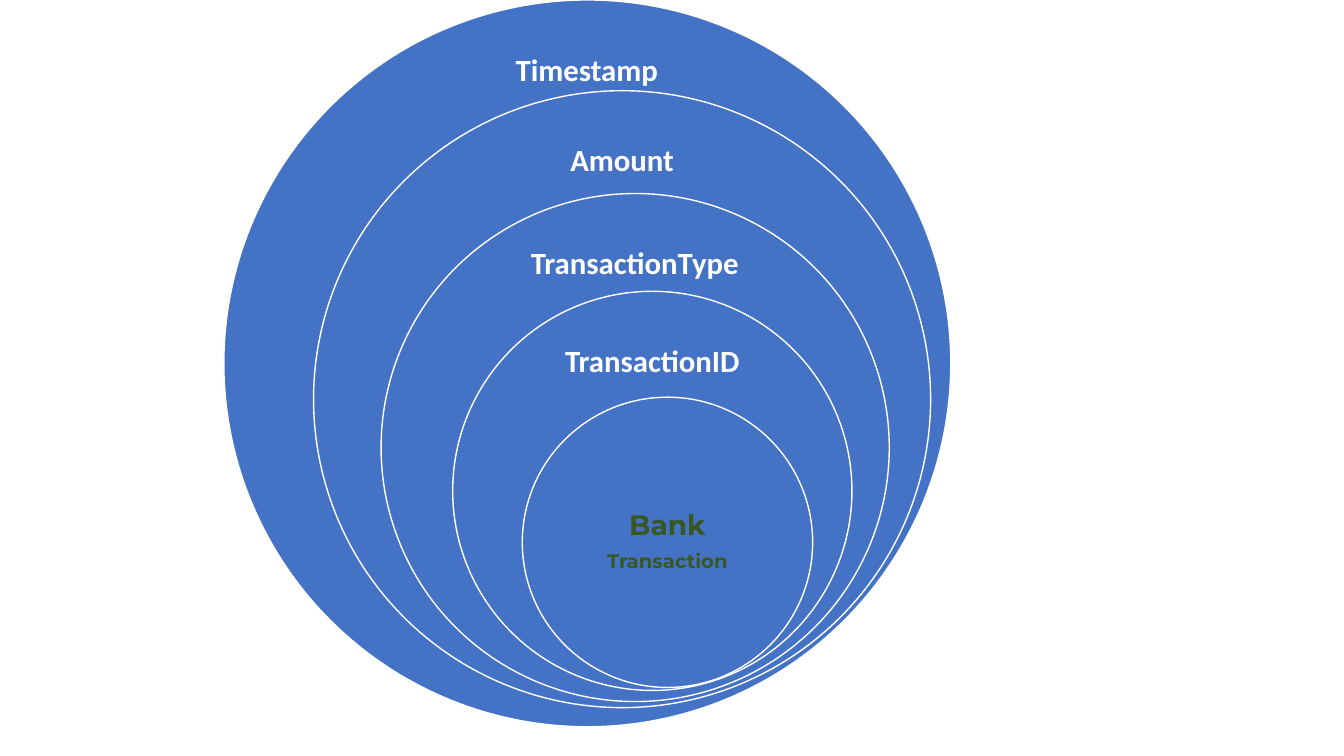
from pptx import Presentation
from pptx.dml.color import RGBColor
from pptx.enum.shapes import MSO_SHAPE as Shape
from pptx.enum.text import MSO_ANCHOR as Anchor, PP_ALIGN as Align
from pptx.util import Emu, Pt

EMU_PER_PX = 9144
BLUE, WHITE, GREEN = "4472C4", "FFFFFF", "385723"
LABEL_TOP, LABEL_HEIGHT = 35, 71
RINGS = [
    ("Timestamp", (222, 0, 721), 270),
    ("Amount", (311, 90, 612), 264),
    ("TransactionType", (378, 192, 504), 261),
    ("TransactionID", (449, 289, 396), 214),
]
CORE = (518, 394, 288)


def px(length):
    """Turn whole pixels into EMU."""
    return Emu(length * EMU_PER_PX)


def color(code):
    """Turn a hex string into a colour."""
    return RGBColor.from_string(code)


def add_circle(slide, left, top, size):
    """Draw a blue circle with a thin white outline."""
    circle = slide.shapes.add_shape(Shape.OVAL, px(left), px(top), px(size), px(size))
    circle.shadow.inherit = False
    circle.fill.solid()
    circle.fill.fore_color.rgb = color(BLUE)
    circle.line.color.rgb = color(WHITE)
    circle.line.width = Pt(1)


def add_label(slide, box, inset, font_name, font_color, lines):
    """Write centred bold lines, given as (text, size) pairs, in the box."""
    frame = slide.shapes.add_textbox(*map(px, box)).text_frame
    frame.word_wrap = True
    frame.vertical_anchor = Anchor.MIDDLE
    frame.margin_left = frame.margin_right = px(inset)
    frame.margin_top = frame.margin_bottom = px(inset)
    frame.text = "\n".join(text for text, size in lines)
    for paragraph, (text, size) in zip(frame.paragraphs, lines):
        paragraph.alignment = Align.CENTER
        paragraph.line_spacing = 0.9
        font = paragraph.runs[0].font
        font.name = font_name
        font.size = Pt(size)
        font.bold = True
        font.color.rgb = color(font_color)
    for paragraph in frame.paragraphs[:-1]:
        paragraph.space_after = Pt(7)


def add_ring(slide, name, box, label_width):
    """Draw one outer circle with its name near the top."""
    left, top, size = box
    add_circle(slide, left, top, size)
    label_left = left + (size - label_width) // 2
    label_box = (label_left, top + LABEL_TOP, label_width, LABEL_HEIGHT)
    add_label(slide, label_box, 17, "Calibri", WHITE, [(name, 22)])


def add_core(slide, box):
    """Draw the innermost circle with its two-line title in the middle."""
    left, top, size = box
    add_circle(slide, left, top, size)
    width, height = 204, size // 2
    label_box = (left + (size - width) // 2, top + (size - height) // 2, width, height)
    lines = [("Bank", 20), ("Transaction", 14)]
    add_label(slide, label_box, 16, "Montserrat", GREEN, lines)


def main():
    """Build the slide and save it."""
    presentation = Presentation()
    presentation.slide_width = px(1333)
    presentation.slide_height = px(750)
    slide = presentation.slides.add_slide(presentation.slide_layouts[6])
    for name, box, label_width in RINGS:
        add_ring(slide, name, box, label_width)
    add_core(slide, CORE)
    presentation.save("out.pptx")


if __name__ == "__main__":
    main()
